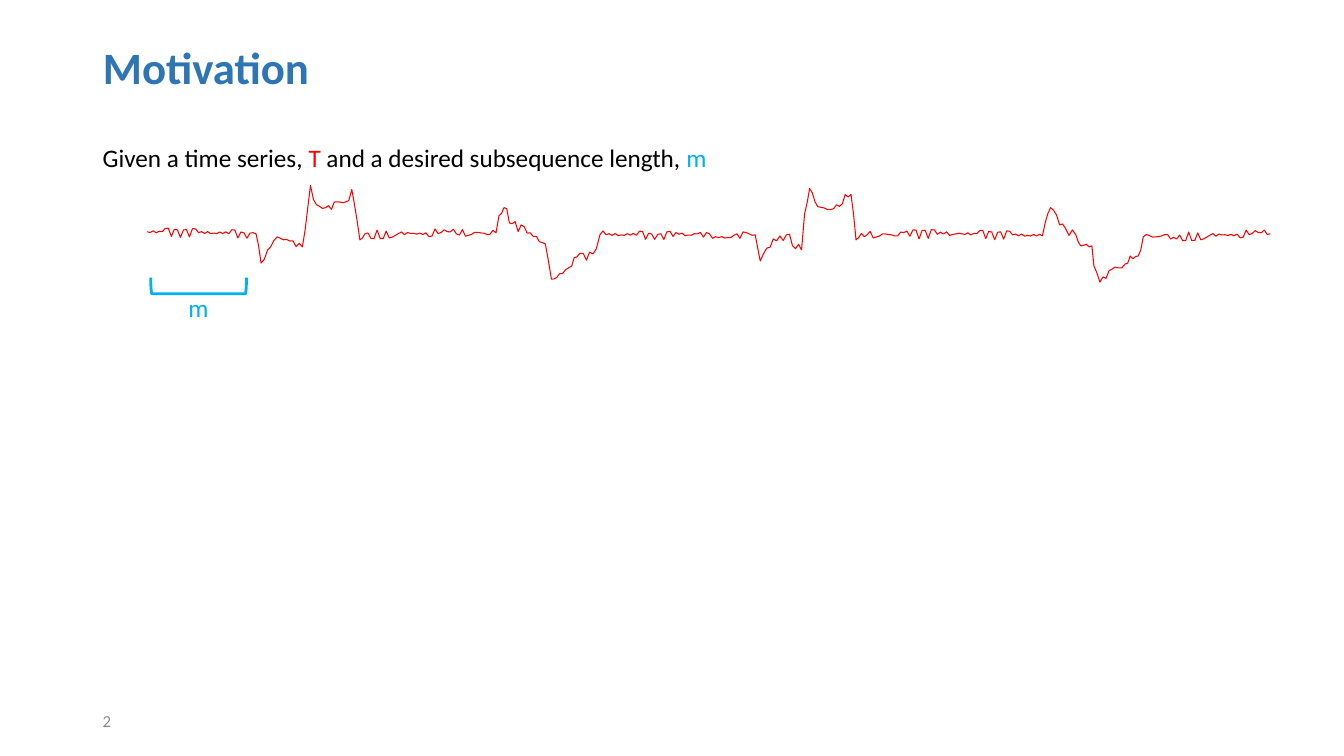
"""Build the motivation slide: a time series and a subsequence length."""
from itertools import pairwise
from math import sin

from pptx import Presentation
from pptx.dml.color import RGBColor
from pptx.enum.shapes import MSO_SHAPE
from pptx.enum.text import MSO_ANCHOR, MSO_AUTO_SIZE, PP_ALIGN
from pptx.util import Inches, Pt

BLUE = RGBColor(0x2E, 0x75, 0xB6)
BLACK = RGBColor(0, 0, 0)
RED = RGBColor(0xFF, 0, 0)
CYAN = RGBColor(0, 0xB0, 0xF0)
GRAY = RGBColor(0x8C, 0x8C, 0x8C)

STEP = 0.03
NOISE = 0.05
SERIES = [
    [(1.46, 2.3), (2.54, 2.32), (2.59, 2.61), (2.75, 2.35), (3, 2.45), (3.08, 1.84),
     (3.11, 1.98), (3.23, 2.06), (3.46, 1.99), (3.49, 1.88), (3.57, 2.38), (3.62, 2.32),
     (4.92, 2.31), (4.95, 2.14), (5, 2.06), (5.08, 2.22), (5.41, 2.42), (5.47, 2.77),
     (5.49, 2.77)],
    [(5.49, 2.77), (5.67, 2.64), (5.72, 2.55), (5.88, 2.52), (5.95, 2.33), (7.49, 2.33),
     (7.54, 2.59), (7.67, 2.37), (7.8, 2.33), (7.95, 2.48), (7.98, 2.12), (8.03, 1.87),
     (8.11, 2.05), (8.24, 2.08), (8.44, 1.93), (8.49, 2.38), (8.6, 2.33), (9.54, 2.32)],
    [(9.54, 2.32), (10.34, 2.34), (10.42, 2.06), (10.57, 2.27), (10.67, 2.33), (10.72, 2.44),
     (10.83, 2.44), (10.85, 2.64), (10.91, 2.8), (11.06, 2.65), (11.16, 2.62), (11.21, 2.54),
     (11.29, 2.54), (11.34, 2.35), (12.6, 2.32)],
]


def add_run(para, text, size, color, bold=False):
    run = para.add_run()
    run.text = text
    run.font.name = "Calibri"
    run.font.size = Pt(size)
    run.font.bold = bold
    run.font.color.rgb = color


def add_label(left, top, width, runs, size):
    box = slide.shapes.add_textbox(Inches(left), Inches(top), Inches(width), Inches(0.4))
    for text, color in runs:
        add_run(box.text_frame.paragraphs[0], text, size, color)
    return box.text_frame


prs = Presentation()
prs.slide_width = Inches(13.33)
prs.slide_height = Inches(7.5)
slide = prs.slides.add_slide(prs.slide_layouts[5])

title = slide.shapes.title
title.left, title.top = Inches(0.92), Inches(0.4)
title.width, title.height = Inches(11.5), Inches(0.85)
title.text_frame.vertical_anchor = MSO_ANCHOR.TOP
head = title.text_frame.paragraphs[0]
head.alignment = PP_ALIGN.LEFT
head.line_spacing = 0.9
add_run(head, "Motivation", 32, BLUE, True)

given = [
    ("Given a time series, ", BLACK),
    ("T ", RED),
    ("and a desired subsequence length, ", BLACK),
    ("m", CYAN),
]
for left, top, width, runs in [(0.92, 1.36, 6.27, given), (1.77, 2.85, 0.4, [("m", CYAN)])]:
    frame = add_label(left, top, width, runs, 18)
    frame.word_wrap = False
    frame.auto_size = MSO_AUTO_SIZE.SHAPE_TO_FIT_TEXT

for turns in SERIES:
    points = [turns[0]]
    for (x1, y1), (x2, y2) in pairwise(turns):
        count = max(1, round((x2 - x1) / STEP))
        for i in range(1, count):
            k = len(points)
            wave = NOISE * sin(k * k) * abs(sin(3 * k))
            points.append((x1 + (x2 - x1) * i / count, y1 + (y2 - y1) * i / count + wave))
        points.append((x2, y2))
    points = [(Inches(x), Inches(y)) for x, y in points]
    outline = slide.shapes.build_freeform(*points[0])
    outline.add_line_segments(points[1:], close=False)
    curve = outline.convert_to_shape()
    curve.shadow.inherit = False
    curve.fill.background()
    curve.line.color.rgb = RED
    curve.line.width = Pt(0)

brace = slide.shapes.add_shape(
    MSO_SHAPE.LEFT_BRACKET, Inches(1.89), Inches(2.36), Inches(0.16), Inches(0.95))
brace.rotation = 270
brace.shadow.inherit = False
brace.fill.background()
brace.line.color.rgb = CYAN
brace.line.width = Pt(2)

number = add_label(0.92, 6.95, 0.54, [("2", GRAY)], 12)
number.word_wrap = True
number.vertical_anchor = MSO_ANCHOR.MIDDLE

prs.save("out.pptx")
